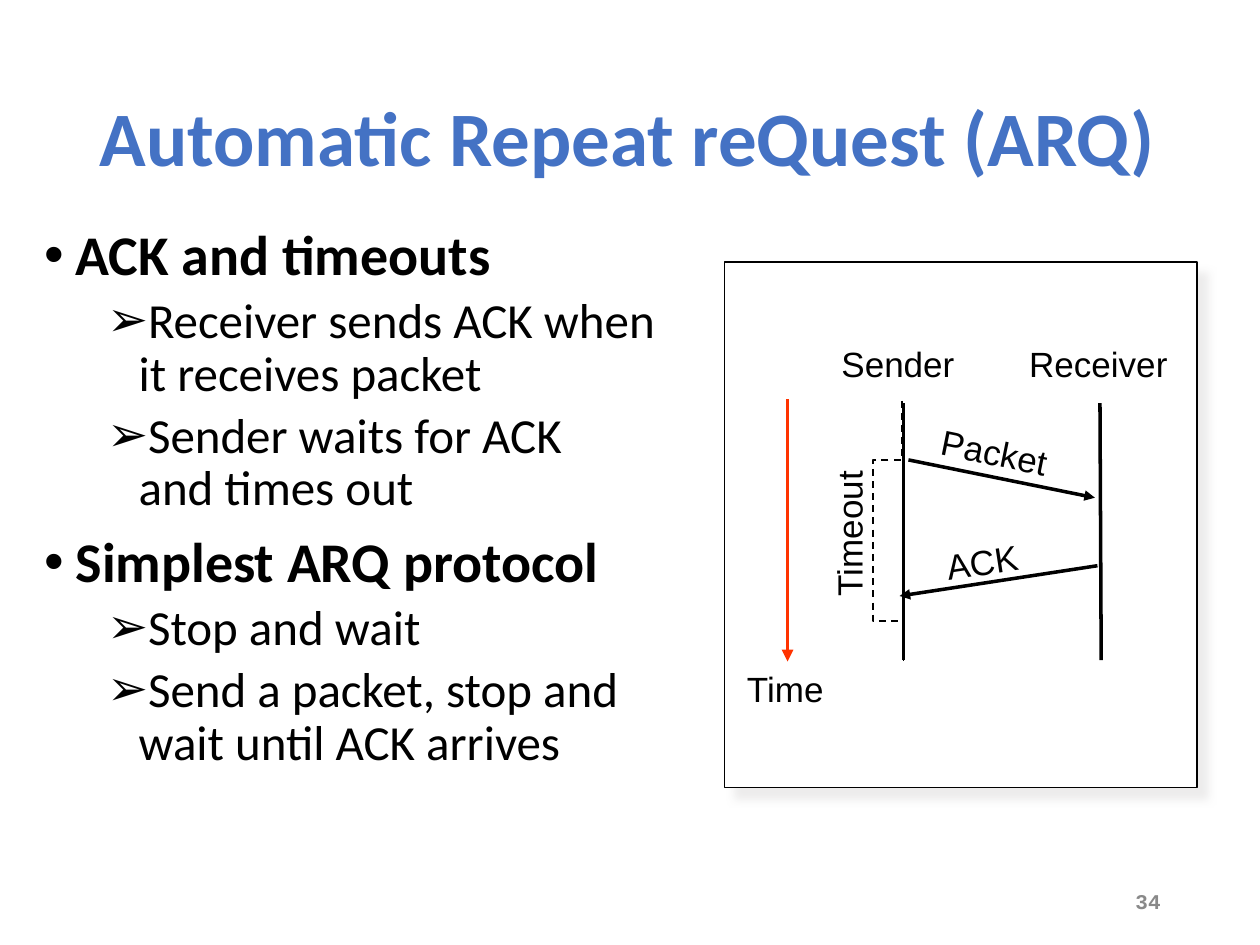
"""Build the slide on Automatic Repeat reQuest with its timing diagram."""
from lxml.etree import SubElement
from pptx import Presentation
from pptx.dml.color import RGBColor
from pptx.enum.dml import MSO_LINE_DASH_STYLE as Dash
from pptx.enum.shapes import MSO_CONNECTOR as Link, MSO_SHAPE as Shape
from pptx.enum.text import MSO_ANCHOR as Anchor, MSO_AUTO_SIZE as Fit, PP_ALIGN as Align
from pptx.oxml.ns import qn
from pptx.util import Inches, Pt

BLACK = RGBColor(0x00, 0x00, 0x00)
WHITE = RGBColor(0xFF, 0xFF, 0xFF)
BLUE = RGBColor(0x44, 0x72, 0xC4)
GREY = RGBColor(0x89, 0x89, 0x89)
RED = RGBColor(0xFF, 0x33, 0x00)
SHADE = RGBColor(0xE7, 0xE6, 0xE6)

BULLETS = [
    (0, "ACK and timeouts"),
    (1, "Receiver sends ACK when\nit receives packet"),
    (1, "Sender waits for ACK\nand times out"),
    (0, "Simplest ARQ protocol"),
    (1, "Stop and wait"),
    (1, "Send a packet, stop and wait until ACK arrives"),
]
LABELS = [
    ("Time", 5.83, 5.25, 0.82, 0),
    ("Packet", 7.37, 3.37, 1.05, 11.5),
    ("ACK", 7.41, 4.24, 0.77, -8.8),
    ("Timeout", 6.07, 3.95, 1.33, 270),
    ("Sender", 6.58, 2.67, 1.1, 0),
    ("Receiver", 8.07, 2.67, 1.3, 0),
]
LINES = [
    ((8.73, 3.2), (8.74, 5.24), BLACK, 2, False),
    ((7.21, 3.65), (8.69, 3.95), BLACK, 2, True),
    ((8.71, 4.49), (7.14, 4.73), BLACK, 2, True),
    ((6.25, 3.17), (6.25, 5.25), RED, 2.25, True),
    ((7.17, 3.2), (7.17, 5.24), BLACK, 2, False),
]
TIMEOUT_BRACKET = [(7.16, 3.18), (7.16, 3.65), (6.93, 3.65), (6.93, 4.93), (7.17, 4.93), (7.17, 5.25)]


def write(para, text, size, font="Calibri", color=BLACK, bold=False, align=Align.LEFT):
    """Put formatted text in a paragraph."""
    para.text = text
    para.alignment = align
    for span in para.runs:
        span.font.name = font
        span.font.size = Pt(size)
        span.font.bold = bold
        span.font.color.rgb = color


def place(shape, left, top, width, height):
    """Move and size a shape, in inches."""
    shape.left, shape.top = Inches(left), Inches(top)
    shape.width, shape.height = Inches(width), Inches(height)


class Painter:
    """Hold the diagram style and the current slide."""

    font = "Arial"
    label_size = 20
    label_height = 0.43

    def __init__(self, page):
        """Keep the slide to draw on."""
        self.page = page

    def title(self, text):
        """Fill the title placeholder."""
        box = self.page.shapes.title
        place(box, 0.69, 0.4, 8.62, 1.45)
        frame = box.text_frame
        frame.auto_size, frame.vertical_anchor = Fit.NONE, Anchor.MIDDLE
        write(frame.paragraphs[0], text, 44, color=BLUE, bold=True)
        frame.paragraphs[0].line_spacing = 0.9

    def bullets(self, items):
        """Fill the body placeholder with a two-level list."""
        box = self.page.placeholders[1]
        place(box, 0.25, 1.75, 5.17, 4.95)
        frame = box.text_frame
        frame.auto_size = Fit.NONE
        for index, (level, text) in enumerate(items):
            para = frame.add_paragraph() if index else frame.paragraphs[0]
            para.level = level
            para.line_spacing = 0.9
            para.space_before = Pt((5 if level else 10) if index else 0)
            props = para._p.get_or_add_pPr()
            props.set("marL", str(Inches(0.25 + 0.5 * level)))
            props.set("indent", str(Inches(-0.25)))
            SubElement(props, qn("a:buChar")).set("char", "➢" if level else "•")
            write(para, text, 28 if level else 32, bold=not level)

    def text(self, text, left, top, width, height, size, rotation=0, wrap=False, **style):
        """Add a text box."""
        area = [Inches(value) for value in (left, top, width, height)]
        box = self.page.shapes.add_textbox(*area)
        box.rotation = rotation
        frame = box.text_frame
        frame.word_wrap, frame.vertical_anchor = wrap, Anchor.MIDDLE
        write(frame.paragraphs[0], text, size, **style)

    def label(self, text, left, top, width, rotation):
        """Add a diagram label."""
        self.text(text, left, top, width, self.label_height, self.label_size, rotation, font=self.font)

    def panel(self, left, top, width, height):
        """Add the framed panel with its soft shadow."""
        area = [Inches(value) for value in (left, top, width, height)]
        panel = self.page.shapes.add_shape(Shape.RECTANGLE, *area)
        panel.fill.solid()
        panel.fill.fore_color.rgb = WHITE
        panel.line.color.rgb = BLACK
        panel.line.width = Pt(0.75)
        panel.shadow.inherit = False
        effects = panel._element.spPr.find(qn("a:effectLst"))
        shadow = SubElement(effects, qn("a:outerShdw"), blurRad=str(Pt(5)), dist=str(Pt(8.5)),
                            dir=str(45 * 60000), algn="tl", rotWithShape="0")
        shade = SubElement(shadow, qn("a:srgbClr"), val=str(SHADE))
        SubElement(shade, qn("a:alpha"), val="75000")

    def line(self, start, end, color, width, arrow):
        """Add a straight line, with an arrowhead at its end if asked."""
        ends = [Inches(value) for value in (*start, *end)]
        line = self.page.shapes.add_connector(Link.STRAIGHT, *ends)
        line.line.color.rgb = color
        line.line.width = Pt(width)
        if arrow:
            SubElement(line.line._get_or_add_ln(), qn("a:tailEnd"), type="triangle")
        SubElement(line._element.spPr, qn("a:effectLst"))

    def dashed_path(self, points):
        """Add an open dashed outline through the points."""
        start, *rest = [(Inches(x), Inches(y)) for x, y in points]
        builder = self.page.shapes.build_freeform(*start)
        builder.add_line_segments(rest, close=False)
        outline = builder.convert_to_shape()
        outline.fill.background()
        outline.line.color.rgb = BLACK
        outline.line.width = Pt(1)
        outline.line.dash_style = Dash.DASH
        outline.shadow.inherit = False


def main():
    """Build and save the deck."""
    deck = Presentation()
    deck.slide_width, deck.slide_height = Inches(10), Inches(7.5)
    painter = Painter(deck.slides.add_slide(deck.slide_layouts[1]))
    painter.title("Automatic Repeat reQuest (ARQ)")
    painter.bullets(BULLETS)
    painter.text("34", 7.06, 6.95, 2.25, 0.4, 12, wrap=True, font="Courier New",
                 color=GREY, bold=True, align=Align.RIGHT)
    painter.panel(5.75, 2.08, 3.75, 4.17)
    painter.dashed_path(TIMEOUT_BRACKET)
    for line in LINES:
        painter.line(*line)
    for label in LABELS:
        painter.label(*label)
    deck.save("out.pptx")


if __name__ == "__main__":
    main()
